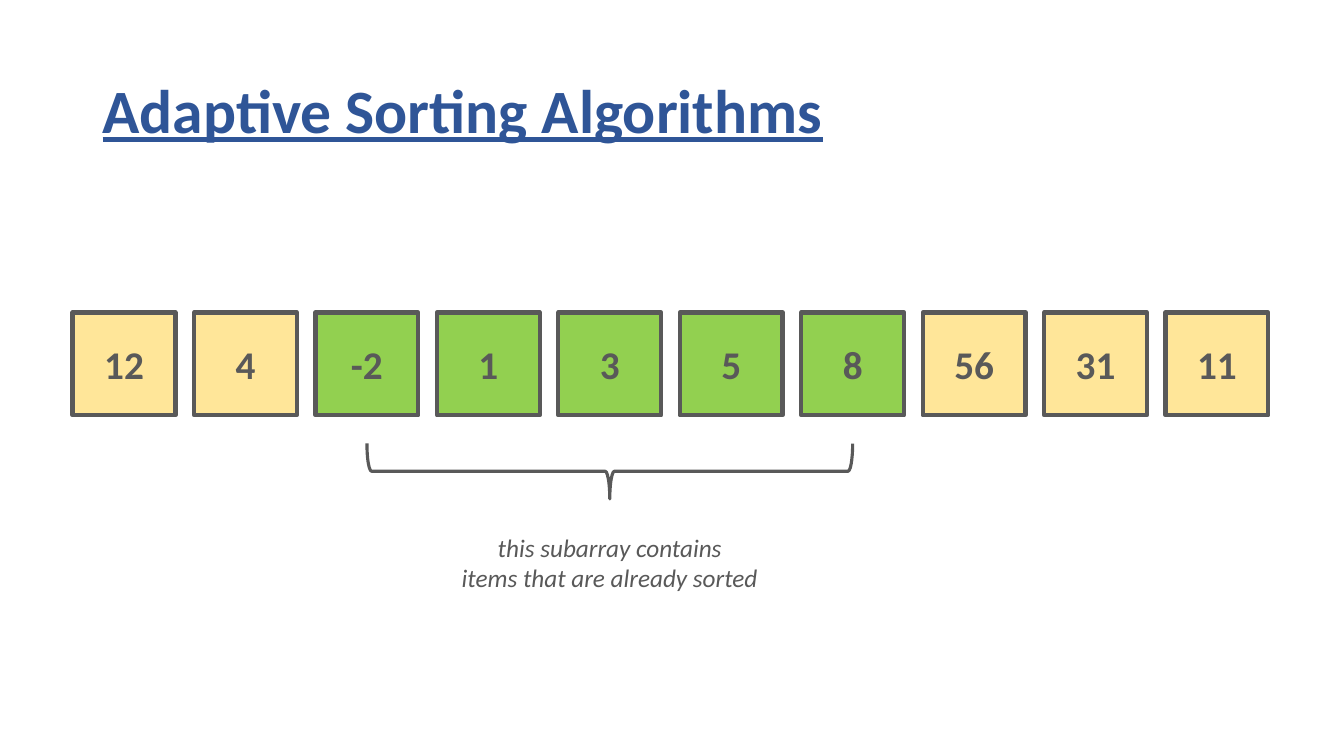
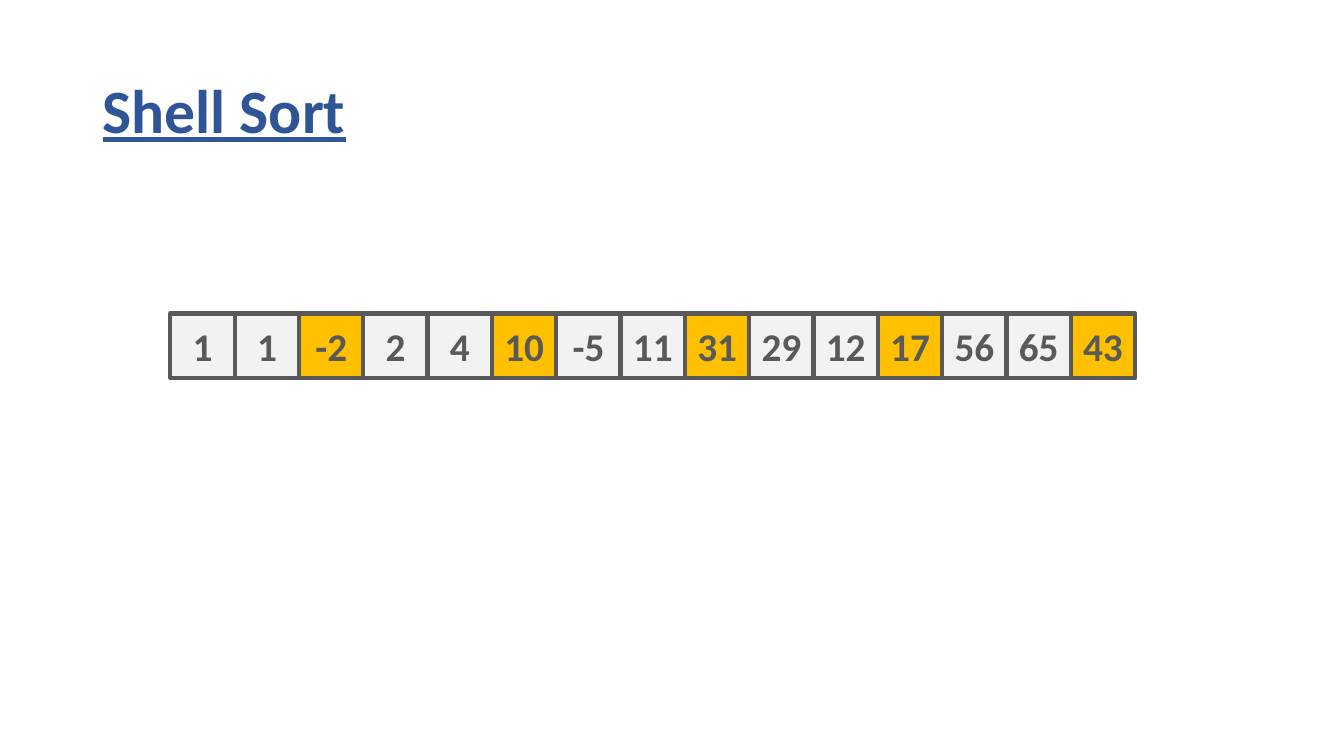
from pptx import Presentation
from pptx.dml.color import RGBColor
from pptx.enum import shapes, text
from pptx.util import Inches, Pt

BLUE = RGBColor(0x2F, 0x55, 0x97)
GRAY = RGBColor(0x59, 0x59, 0x59)
YELLOW = RGBColor(0xFF, 0xE6, 0x99)
GREEN = RGBColor(0x92, 0xD0, 0x50)
LIGHT = RGBColor(0xF2, 0xF2, 0xF2)
AMBER = RGBColor(0xFF, 0xC0, 0x00)
FONT = "Calibri"


def write(frame, content, size, color=GRAY, align=text.PP_ALIGN.CENTER,
          anchor=text.MSO_ANCHOR.MIDDLE, spacing=None, wrap=True,
          bold=False, italic=False, underline=False):
    """Fill a text frame, one paragraph per line of content."""
    frame.word_wrap = wrap
    frame.vertical_anchor = anchor
    for number, line in enumerate(content.split("\n")):
        paragraph = frame.add_paragraph() if number else frame.paragraphs[0]
        paragraph.alignment = align
        if spacing:
            paragraph.line_spacing = spacing
        run = paragraph.add_run()
        run.text = line
        font = run.font
        font.name, font.size, font.color.rgb = FONT, Pt(size), color
        font.bold, font.italic, font.underline = bold, italic, underline


class Deck:
    def __init__(self):
        self.prs = Presentation()
        self.prs.slide_width = Inches(13.33)
        self.prs.slide_height = Inches(7.5)
        self.slide = None

    def new_slide(self, title):
        self.slide = self.prs.slides.add_slide(self.prs.slide_layouts[6])
        box = self.slide.shapes.add_textbox(
            Inches(0.92), Inches(0.4), Inches(11.5), Inches(1.45))
        write(box.text_frame, title, 44, BLUE, text.PP_ALIGN.LEFT,
              spacing=0.9, bold=True, underline=True)

    def outline(self, preset, left, top, width, height, line_width):
        shape = self.slide.shapes.add_shape(
            preset, Inches(left), Inches(top), Inches(width), Inches(height))
        shape.shadow.inherit = False
        shape.line.color.rgb = GRAY
        shape.line.width = Pt(line_width)
        return shape

    def array(self, values, left, right, top, size, fill, marked, mark_fill):
        """Draw evenly spaced square cells and return their centres."""
        pitch = (right - left - size) / (len(values) - 1)
        for index, value in enumerate(values):
            cell = self.outline(shapes.MSO_SHAPE.RECTANGLE,
                                left + index * pitch, top, size, size, 3)
            cell.fill.solid()
            cell.fill.fore_color.rgb = mark_fill if index in marked else fill
            write(cell.text_frame, str(value), 28, bold=True)
        return [left + index * pitch + size / 2 for index in range(len(values))]

    def brace_below(self, start, end, top, depth):
        """Draw a brace pointing down, from a right brace turned by 90 degrees."""
        span = end - start
        brace = self.outline(shapes.MSO_SHAPE.RIGHT_BRACE,
                             (start + end - depth) / 2, top + (depth - span) / 2,
                             depth, span, 2.25)
        brace.fill.background()
        brace.rotation = 90

    def caption(self, content, center, top, width, height):
        box = self.slide.shapes.add_textbox(
            Inches(center - width / 2), Inches(top), Inches(width), Inches(height))
        write(box.text_frame, content, 18, anchor=text.MSO_ANCHOR.TOP,
              wrap=False, italic=True)
        box.text_frame.auto_size = text.MSO_AUTO_SIZE.SHAPE_TO_FIT_TEXT


def main():
    deck = Deck()

    # Array with a sorted subarray
    deck.new_slide("Adaptive Sorting Algorithms")
    sorted_part = range(2, 7)
    centers = deck.array([12, 4, -2, 1, 3, 5, 8, 56, 31, 11],
                         left=0.72, right=12.58, top=3.1, size=1.02,
                         fill=YELLOW, marked=sorted_part, mark_fill=GREEN)
    start, end = centers[sorted_part[0]], centers[sorted_part[-1]]
    deck.brace_below(start, end, top=4.4, depth=0.55)
    deck.caption("this subarray contains\nitems that are already sorted",
                 center=(start + end) / 2, top=5.23, width=3.17, height=0.71)

    # Array with every third item marked
    deck.new_slide("Shell Sort")
    numbers = [1, 1, -2, 2, 4, 10, -5, 11, 31, 29, 12, 17, 56, 65, 43]
    deck.array(numbers, left=1.69, right=11.26, top=3.11, size=0.64,
               fill=LIGHT, marked=range(2, len(numbers), 3), mark_fill=AMBER)

    deck.prs.save("out.pptx")


if __name__ == "__main__":
    main()
